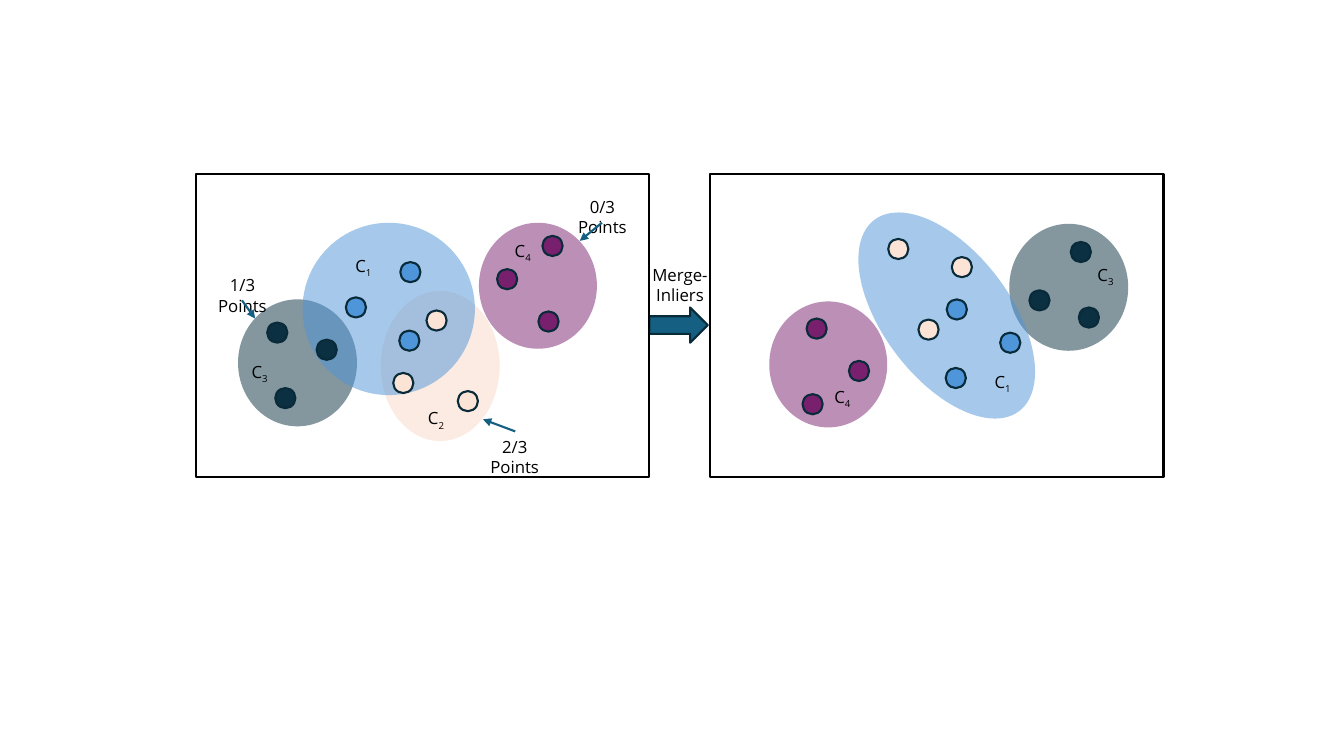
from dataclasses import dataclass

from lxml.etree import SubElement
from pptx import Presentation
from pptx.dml.color import RGBColor
from pptx.enum.shapes import MSO_CONNECTOR as Connector, MSO_SHAPE as Shape
from pptx.enum.text import MSO_AUTO_SIZE as AutoSize, PP_ALIGN as Align
from pptx.oxml.ns import qn
from pptx.util import Pt

PX = 9144  # EMU per px, 100 px to the inch
FONT = "Open Sans"
LINE_WIDTH = Pt(1.5)
DOT = 20
PANEL_TOP, PANEL_WIDTH, PANEL_HEIGHT = 173, 450, 300
LABEL_WIDTH, NOTE_WIDTH, TEXT_HEIGHT = 83, 95, 30

COLORS = {
    "blue": "4E95D9",
    "peach": "FBE3D6",
    "navy": "0B3041",
    "purple": "78206E",
    "outline": "092A39",
    "arrow": "156082",
    "black": "000000",
}

Box = tuple[int, int, int, int]
Point = tuple[int, int]


@dataclass
class Cluster:
    number: int
    color: str
    box: Box
    label: Point
    turn: float
    opacity: int = 50


@dataclass
class Panel:
    left: int
    turn: int
    clusters: list[Cluster]
    dots: dict[str, list[Point]]


@dataclass
class Note:
    text: str
    at: Point
    start: Point
    end: Point


PANELS = [
    Panel(
        704, 270,
        [
            Cluster(3, "navy", (997, 226, 126, 118), (1055, 258), 270),
            Cluster(1, "blue", (820, 250, 238, 126), (953, 364), 232.9),
            Cluster(4, "purple", (759, 303, 125, 117), (794, 379), 270),
        ],
        {
            "blue": [(938, 365), (939, 297), (992, 330)],
            "peach": [(911, 317), (944, 255), (881, 237)],
            "navy": [(1021, 288), (1062, 240), (1070, 305)],
            "purple": [(796, 391), (842, 358), (800, 316)],
        },
    ),
    Panel(
        194, 90,
        [
            Cluster(3, "navy", (232, 301, 126, 118), (216, 354), 90),
            Cluster(2, "peach", (362, 304, 149, 118), (391, 400), 90, 70),
            Cluster(1, "blue", (300, 221, 171, 171), (319, 249), 90),
            Cluster(4, "purple", (471, 225, 125, 117), (477, 234), 90),
        ],
        {
            "blue": [(397, 260), (396, 328), (343, 295)],
            "purple": [(538, 234), (493, 267), (534, 309)],
            "peach": [(423, 308), (390, 370), (454, 388)],
            "navy": [(314, 337), (273, 385), (265, 320)],
        },
    ),
]

NOTES = [
    Note("1/3 Points", (193, 268), (240, 298), (253, 316)),
    Note("2/3 Points", (463, 428), (511, 428), (479, 416)),
    Note("0/3 Points", (550, 190), (597, 221), (575, 239)),
]


def rgb(name: str) -> RGBColor:
    return RGBColor.from_string(COLORS[name])


def emu(*lengths: int) -> list[int]:
    return [length * PX for length in lengths]


def add_shape(slide, kind: Shape, box: Box, fill: str = "", line: str = "",
              turn: float = 0, opacity: int = 100) -> None:
    sp = slide.shapes.add_shape(kind, *emu(*box))
    sp.shadow.inherit = False
    sp.rotation = turn
    if fill:
        sp.fill.solid()
        sp.fill.fore_color.rgb = rgb(fill)
    else:
        sp.fill.background()
    if line:
        sp.line.color.rgb = rgb(line)
        sp.line.width = LINE_WIDTH
    else:
        sp.line.fill.background()
    if opacity < 100:
        color = sp._element.spPr.find(qn("a:solidFill"))[0]
        SubElement(color, qn("a:alpha"), val=str(opacity * 1000))


def add_text(slide, text: str, box: Box, subscript: str = "") -> None:
    tf = slide.shapes.add_textbox(*emu(*box)).text_frame
    tf.word_wrap = True
    tf.auto_size = AutoSize.SHAPE_TO_FIT_TEXT
    p = tf.paragraphs[0]
    p.alignment = Align.CENTER
    p.font.name, p.font.size = FONT, Pt(12)
    p.font.color.rgb = rgb("black")
    p.add_run().text = text
    if subscript:
        r = p.add_run()
        r.text = subscript
        r._r.get_or_add_rPr().set("baseline", "-25000")


def add_arrow(slide, start: Point, end: Point) -> None:
    arrow = slide.shapes.add_connector(Connector.STRAIGHT, *emu(*start, *end))
    arrow.line.color.rgb = rgb("arrow")
    arrow.line.width = LINE_WIDTH
    SubElement(arrow.line._get_or_add_ln(), qn("a:tailEnd"), type="triangle")
    SubElement(arrow._element.spPr, qn("a:effectLst"))


def add_panel(slide, panel: Panel) -> None:
    for c in panel.clusters:
        add_shape(slide, Shape.OVAL, c.box, c.color, turn=c.turn, opacity=c.opacity)
    frame = (panel.left, PANEL_TOP, PANEL_WIDTH, PANEL_HEIGHT)
    add_shape(slide, Shape.RECTANGLE, frame, line="black")
    for color, points in panel.dots.items():
        for point in points:
            add_shape(slide, Shape.OVAL, (*point, DOT, DOT), color, "outline", panel.turn)
    for c in panel.clusters:
        add_text(slide, "C", (*c.label, LABEL_WIDTH, TEXT_HEIGHT), str(c.number))


def main() -> None:
    prs = Presentation()
    prs.slide_width, prs.slide_height = emu(1333, 750)
    slide = prs.slides.add_slide(prs.slide_layouts[6])

    # Merge step between the panels
    add_shape(slide, Shape.RIGHT_ARROW, (644, 305, 58, 35), "arrow", "outline")
    add_text(slide, "Merge-Inliers", (633, 258, 83, 50))

    # Clusters after and before merging
    for panel in PANELS:
        add_panel(slide, panel)

    # Inlier counts
    for note in NOTES:
        add_text(slide, note.text, (*note.at, NOTE_WIDTH, TEXT_HEIGHT))
        add_arrow(slide, note.start, note.end)

    prs.save("out.pptx")


if __name__ == "__main__":
    main()
